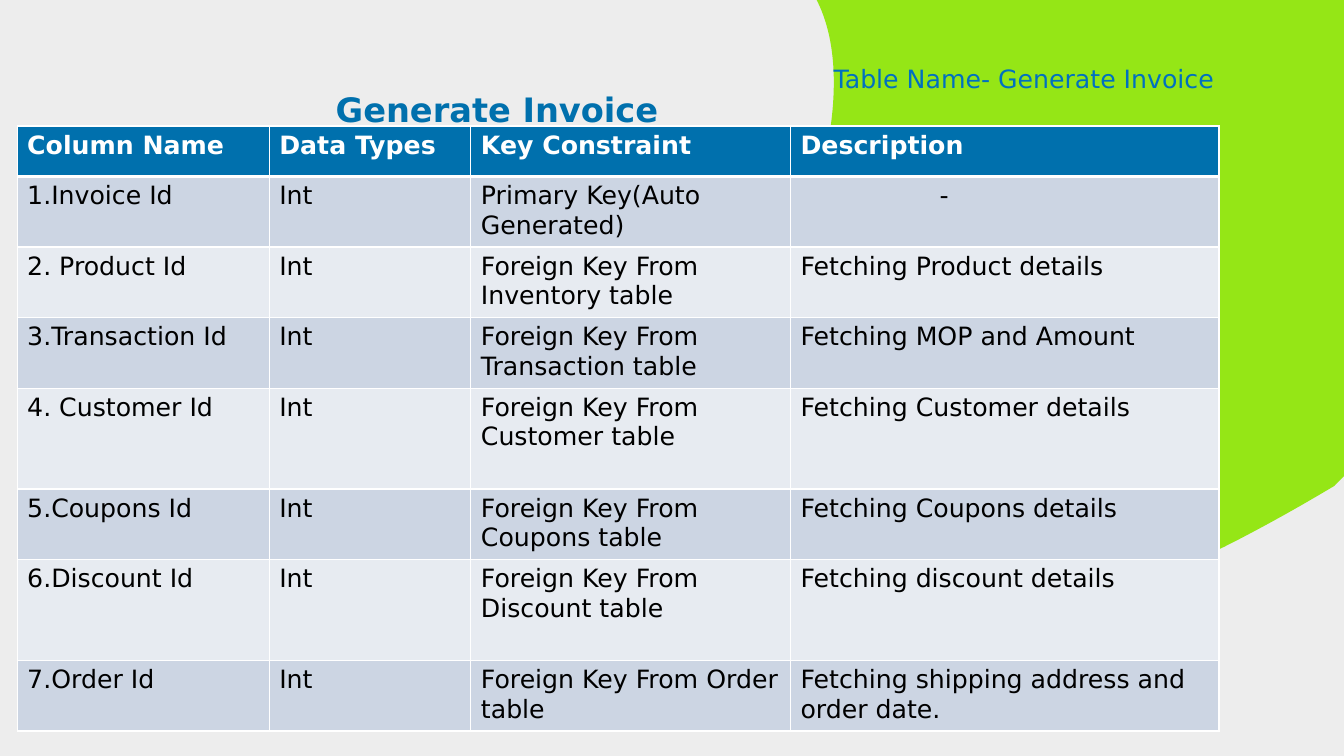
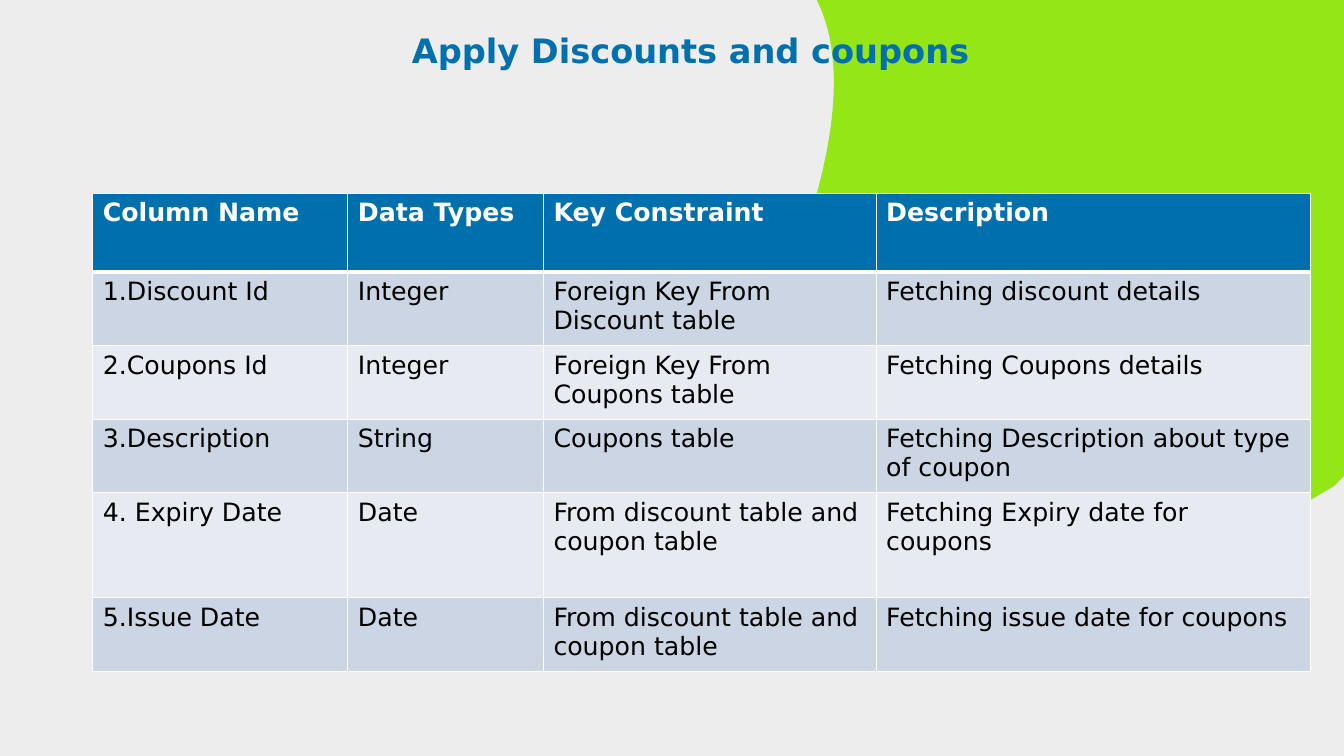
from lxml import etree
from pptx import Presentation
from pptx.dml.color import RGBColor
from pptx.enum.text import PP_ALIGN
from pptx.oxml.ns import qn
from pptx.util import Inches, Pt

LEFT, CENTER = PP_ALIGN.LEFT, PP_ALIGN.CENTER
FONT = "DejaVu Sans"
SLIDE_WIDTH, SLIDE_HEIGHT = 13.33, 7.5
BACKDROP, SWOOSH_GREEN = "EDEDED", "95E616"
TITLE_BLUE, CAPTION_BLUE = "0070AD", "0070C0"
WHITE, BLACK = "FFFFFF", "000000"
BAND_FILLS = ("CCD5E3", "E7EBF1")

# Bezier curves: start, two control points, end
SWOOSH_CURVES = [
    ((13.9, 4.41), (10.48, 6.59), (8.44, 6.95), (6.98, 4.53)),
    ((6.98, 4.53), (8.41, 1.9), (8.42, 0.63), (8.1, 0)),
]
CURVE_STEPS = 60

HEADINGS = ("Column Name", "Data Types", "Key Constraint", "Description")
SLIDES = [
    {
        "title": "Generate Invoice",
        "title_box": (3.33, 0.87, 3.6, 0.42),
        "title_align": LEFT,
        "caption": "Table Name- Generate Invoice",
        "caption_box": (8.17, 0.58, 4.17, 0.4),
        "table_at": (0.17, 1.25),
        "columns": (2.5, 2, 3.17, 4.25),
        "row_heights": (0.5, 0.7, 0.7, 0.7, 1, 0.7, 1, 0.7),
        "rows": [
            ("1.Invoice Id", "Int", "Primary Key(Auto Generated)", "-"),
            ("2. Product Id", "Int", "Foreign Key From Inventory table", "Fetching Product details"),
            ("3.Transaction Id", "Int", "Foreign Key From Transaction table", "Fetching MOP and Amount"),
            ("4. Customer Id", "Int", "Foreign Key From Customer table", "Fetching Customer details"),
            ("5.Coupons Id", "Int", "Foreign Key From Coupons table", "Fetching Coupons details"),
            ("6.Discount Id", "Int", "Foreign Key From Discount table", "Fetching discount details"),
            ("7.Order Id", "Int", "Foreign Key From Order table",
             "Fetching shipping address and order date."),
        ],
    },
    {
        "title": "Apply Discounts and coupons",
        "title_box": (3.1, 0.28, 7.5, 0.42),
        "title_align": CENTER,
        "table_at": (0.92, 1.92),
        "columns": (2.53, 1.94, 3.3, 4.31),
        "row_heights": (0.78, 0.73, 0.73, 0.73, 1.04, 0.73),
        "rows": [
            ("1.Discount Id", "Integer", "Foreign Key From Discount table", "Fetching discount details"),
            ("2.Coupons Id", "Integer", "Foreign Key From Coupons table", "Fetching Coupons details"),
            ("3.Description", "String", "Coupons table", "Fetching Description about type of coupon"),
            ("4. Expiry Date", "Date", "From discount table and coupon table",
             "Fetching Expiry date for coupons"),
            ("5.Issue Date", "Date", "From discount table and coupon table",
             "Fetching issue date for coupons"),
        ],
    },
]


def rgb(color):
    return RGBColor.from_string(color)


def style(paragraph, size, color, bold=False):
    font = paragraph.font
    font.name, font.size, font.bold = FONT, Pt(size), bold
    font.color.rgb = rgb(color)


def curve_point(curve, t):
    weights = ((1 - t) ** 3, 3 * t * (1 - t) ** 2, 3 * t * t * (1 - t), t ** 3)
    x, y = (sum(w * point[axis] for w, point in zip(weights, curve)) for axis in (0, 1))
    return Inches(min(x, SLIDE_WIDTH)), Inches(y)


def add_backdrop(slide):
    background = slide.background.fill
    background.solid()
    background.fore_color.rgb = rgb(BACKDROP)
    outline = [curve_point(curve, step / CURVE_STEPS)
               for curve in SWOOSH_CURVES for step in range(CURVE_STEPS + 1)]
    outline.append((Inches(SLIDE_WIDTH), 0))
    builder = slide.shapes.build_freeform(*outline[0])
    builder.add_line_segments(outline[1:], close=True)
    swoosh = builder.convert_to_shape()
    swoosh.shadow.inherit = False
    swoosh.fill.solid()
    swoosh.fill.fore_color.rgb = rgb(SWOOSH_GREEN)
    swoosh.line.fill.background()


def add_text(slide, box, text, size, color, bold=False):
    frame = slide.shapes.add_textbox(*map(Inches, box)).text_frame
    frame.word_wrap = True
    frame.text = text
    style(frame.paragraphs[0], size, color, bold)
    return frame


def add_title(slide, box, text, align):
    frame = add_text(slide, box, text, 24, TITLE_BLUE, bold=True)
    frame.margin_left = frame.margin_right = frame.margin_top = frame.margin_bottom = 0
    frame.paragraphs[0].alignment = align
    frame.paragraphs[0].line_spacing = Pt(30)


def set_borders(cell, top, bottom):
    """Draw white borders, with the top and bottom widths in points."""
    properties = cell._tc.get_or_add_tcPr()
    widths = {"a:lnL": 1, "a:lnR": 1, "a:lnT": top, "a:lnB": bottom}
    for position, (tag, width) in enumerate(widths.items()):
        border = etree.Element(qn(tag), w=str(Pt(width)))
        fill = etree.SubElement(border, qn("a:solidFill"))
        etree.SubElement(fill, qn("a:srgbClr"), val=WHITE)
        properties.insert(position, border)


def fill_cell(cell, text, row):
    header = row == 0
    cell.text = text
    paragraph = cell.text_frame.paragraphs[0]
    style(paragraph, 18, WHITE if header else BLACK, bold=header)
    if text == "-":
        paragraph.alignment = CENTER
        cell.margin_right = Inches(1.3)
    cell.fill.solid()
    cell.fill.fore_color.rgb = rgb(TITLE_BLUE if header else BAND_FILLS[(row - 1) % 2])
    set_borders(cell, top=3 if row == 1 else 1, bottom=3 if header else 1)


def add_schema_table(slide, position, columns, row_heights, rows):
    size = (sum(columns), sum(row_heights))
    table = slide.shapes.add_table(
        len(row_heights), len(columns), *map(Inches, position + size)).table
    for column, width in zip(table.columns, columns):
        column.width = Inches(width)
    for row, height in zip(table.rows, row_heights):
        row.height = Inches(height)
    for r, texts in enumerate([HEADINGS] + rows):
        for c, text in enumerate(texts):
            fill_cell(table.cell(r, c), text, r)


def main():
    prs = Presentation()
    prs.slide_width, prs.slide_height = Inches(SLIDE_WIDTH), Inches(SLIDE_HEIGHT)
    blank = prs.slide_layouts[6]
    for content in SLIDES:
        slide = prs.slides.add_slide(blank)
        add_backdrop(slide)
        add_title(slide, content["title_box"], content["title"], content["title_align"])
        if "caption" in content:
            add_text(slide, content["caption_box"], content["caption"], 18, CAPTION_BLUE)
        add_schema_table(slide, content["table_at"], content["columns"],
                         content["row_heights"], content["rows"])
    prs.save("out.pptx")


if __name__ == "__main__":
    main()
